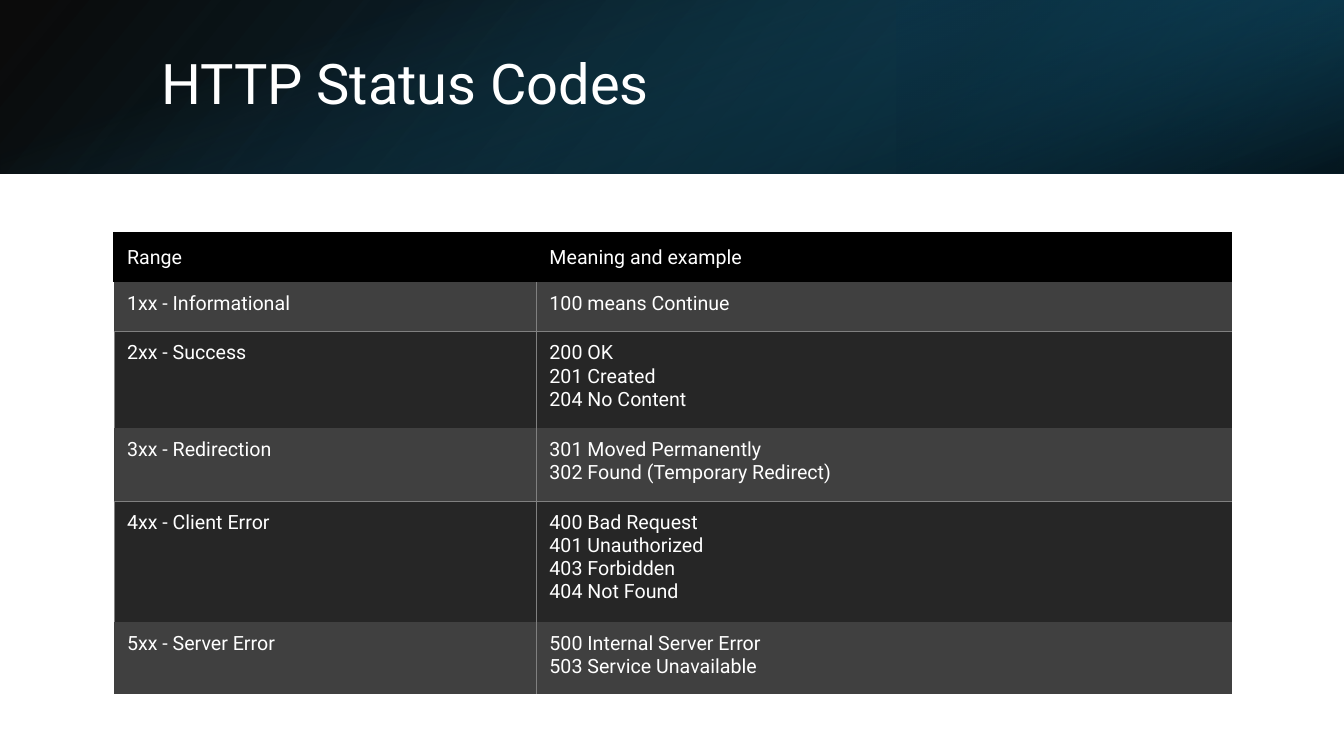
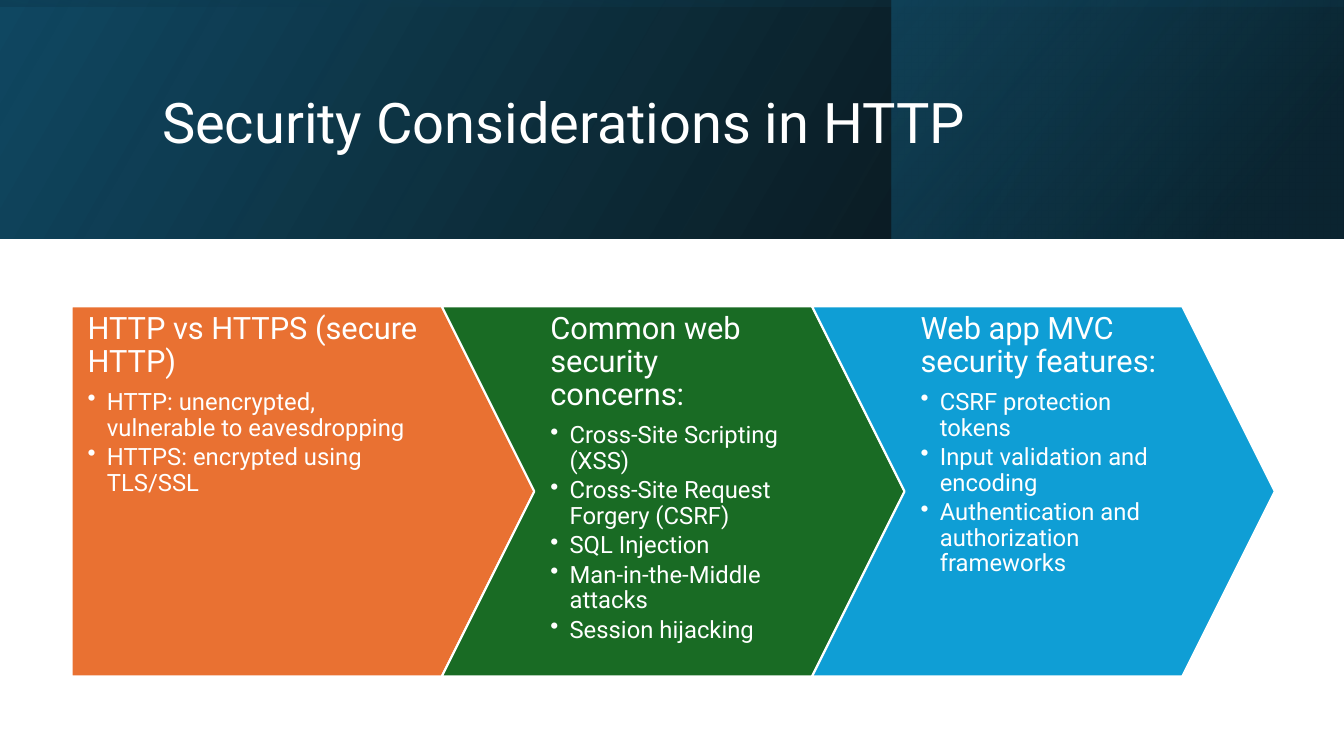
from lxml import etree
from pptx import Presentation
from pptx.dml.color import RGBColor
from pptx.enum.shapes import MSO_SHAPE
from pptx.enum.text import MSO_ANCHOR, PP_ALIGN
from pptx.oxml.ns import qn
from pptx.util import Inches, Pt

RECTANGLE = MSO_SHAPE.RECTANGLE
PENTAGON = MSO_SHAPE.PENTAGON
CHEVRON = MSO_SHAPE.CHEVRON
TOP, MIDDLE = MSO_ANCHOR.TOP, MSO_ANCHOR.MIDDLE
LEFT = PP_ALIGN.LEFT

FONT = "Roboto"
SLIDE_W, SLIDE_H = 13.33, 7.5
COLORS = {
    "white": "FFFFFF", "black": "000000", "navy": "104862",
    "deep": "0B3041", "teal": "156082", "rule": "808080",
    "row_light": "404040", "row_dark": "262626",
    "orange": "E97132", "green": "196B24", "blue": "0F9ED5",
}

STATUS_HEADER = ("Range", ["Meaning and example"])
STATUS_ROWS = [
    ("1xx - Informational", ["100 means Continue"]),
    ("2xx - Success", ["200 OK", "201 Created", "204 No Content"]),
    ("3xx - Redirection",
     ["301 Moved Permanently", "302 Found (Temporary Redirect)"]),
    ("4xx - Client Error",
     ["400 Bad Request", "401 Unauthorized", "403 Forbidden", "404 Not Found"]),
    ("5xx - Server Error",
     ["500 Internal Server Error", "503 Service Unavailable"]),
]
STATUS_HEIGHTS = [0.49, 0.49, 0.96, 0.72, 1.2, 0.72]
STATUS_WIDTHS = [4.19, 6.9]

SECURITY_TOPICS = [
    ("HTTP vs HTTPS (secure HTTP)", "orange",
     ["HTTP: unencrypted, vulnerable to eavesdropping",
      "HTTPS: encrypted using TLS/SSL"]),
    ("Common web security concerns:", "green",
     ["Cross-Site Scripting (XSS)", "Cross-Site Request Forgery (CSRF)",
      "SQL Injection", "Man-in-the-Middle attacks", "Session hijacking"]),
    ("Web app MVC security features:", "blue",
     ["CSRF protection tokens", "Input validation and encoding",
      "Authentication and authorization frameworks"]),
]


def rgb(name):
    return RGBColor.from_string(COLORS[name])


def add_run(paragraph, text, size):
    run = paragraph.add_run()
    run.text = text
    run.font.name = FONT
    run.font.size = Pt(size)
    run.font.bold = False
    run.font.color.rgb = rgb("white")


def next_paragraph(frame, index):
    paragraph = frame.add_paragraph() if index else frame.paragraphs[0]
    paragraph.alignment = LEFT
    return paragraph


def set_insets(target, left, top, right, bottom):
    target.margin_left, target.margin_top = Inches(left), Inches(top)
    target.margin_right, target.margin_bottom = Inches(right), Inches(bottom)


def add_gradient(slide, box, stops, angle, rotation=0, flip=True):
    layer = slide.shapes.add_shape(RECTANGLE, *map(Inches, box))
    layer.shadow.inherit = False
    layer.line.fill.background()
    layer.rotation = rotation
    layer.fill.gradient()
    layer.fill.gradient_angle = 360 - angle
    for stop, (position, color, _) in zip(layer.fill.gradient_stops, stops):
        stop.position = position / 100
        stop.color.rgb = rgb(color)
    properties = layer.element.spPr
    for color_node, (_, _, opacity) in zip(properties.iter(qn("a:srgbClr")), stops):
        etree.SubElement(color_node, qn("a:alpha"), val=str(opacity * 1000))
    if flip:
        properties.find(qn("a:xfrm")).set("flipH", "1")


def add_header(slide, height, base_angle, corner, shade):
    add_gradient(slide, (0, 0, SLIDE_W, height),
                 [(0, "black", 96), (100, "navy", 100)], base_angle)
    add_gradient(slide, (corner["left"], 0, corner["width"], height),
                 [(19, "deep", 68), (100, "teal", corner["opacity"])],
                 320, corner["rotation"])
    offset = (SLIDE_W - height) / 2
    add_gradient(slide, (offset, -offset, height, SLIDE_W), shade["stops"],
                 shade["angle"], shade["rotation"], shade["flip"])


def add_title(slide, box, text):
    frame = slide.shapes.add_textbox(*map(Inches, box)).text_frame
    frame.word_wrap = True
    frame.vertical_anchor = MIDDLE
    paragraph = next_paragraph(frame, 0)
    paragraph.line_spacing = 0.9
    add_run(paragraph, text, 40)


def set_borders(cell, borders):
    properties = cell._tc.get_or_add_tcPr()
    for index, side in enumerate("LRTB"):
        color, width = borders.get(side, (None, 0))
        line = etree.Element(qn(f"a:ln{side}"), w=str(Pt(width)))
        if color:
            fill = etree.SubElement(line, qn("a:solidFill"))
            etree.SubElement(fill, qn("a:srgbClr"), val=COLORS[color])
        else:
            etree.SubElement(line, qn("a:noFill"))
        properties.insert(index, line)


def status_borders(row, column):
    if row == 0:
        edge = ("black", 1.5)
        return {"T": edge, "L": edge} if column == 0 else {"T": edge}
    thin = ("rule", 0.5)
    sides = "R" if column == 0 else "L"
    if row % 2 == 0:
        sides += "TL" if column == 0 else "T"
    elif row < len(STATUS_ROWS):
        sides += "B"
    return {side: thin for side in sides}


def fill_status_cell(cell, lines, row, column):
    set_insets(cell, 0.13, 0.1, 0.1, 0.1)
    cell.vertical_anchor = TOP if row else MIDDLE
    cell.fill.solid()
    band = "row_light" if row % 2 else "row_dark"
    cell.fill.fore_color.rgb = rgb(band if row else "black")
    for index, line in enumerate(lines):
        add_run(next_paragraph(cell.text_frame, index), line, 14)
    set_borders(cell, status_borders(row, column))


def add_status_table(slide, left, top):
    rows = [STATUS_HEADER] + STATUS_ROWS
    table = slide.shapes.add_table(
        len(rows), len(STATUS_WIDTHS), Inches(left), Inches(top),
        Inches(sum(STATUS_WIDTHS)), Inches(sum(STATUS_HEIGHTS))).table
    table.first_row = table.horz_banding = False
    for column, width in zip(table.columns, STATUS_WIDTHS):
        column.width = Inches(width)
    for row, (code_range, meanings) in enumerate(rows):
        table.rows[row].height = Inches(STATUS_HEIGHTS[row])
        for column, lines in enumerate(([code_range], meanings)):
            fill_status_cell(table.cell(row, column), lines, row, column)


def add_bullet(paragraph):
    properties = paragraph._p.get_or_add_pPr()
    properties.set("marL", str(Inches(0.19)))
    properties.set("indent", str(-Inches(0.19)))
    etree.SubElement(properties, qn("a:buChar"), char="•")


def add_topic(slide, box, outline, right_inset, topic):
    heading, color, points = topic
    arrow = slide.shapes.add_shape(outline, *map(Inches, box))
    arrow.adjustments[0] = 0.25
    arrow.shadow.inherit = False
    arrow.fill.solid()
    arrow.fill.fore_color.rgb = rgb(color)
    arrow.line.color.rgb = rgb("white")
    arrow.line.width = Pt(1.5)
    frame = arrow.text_frame
    frame.word_wrap = True
    frame.vertical_anchor = TOP
    set_insets(frame, 0.16, 0.06, right_inset, 0.06)
    for index, text in enumerate([heading] + points):
        paragraph = next_paragraph(frame, index)
        paragraph.line_spacing = 0.9
        paragraph.space_after = Pt(2.6 if index else 7.7)
        if index:
            add_bullet(paragraph)
        add_run(paragraph, text, 17 if index else 22)


def add_topic_chain(slide, left, top, width, height):
    for index, topic in enumerate(SECURITY_TOPICS):
        box = (left + index * 0.8 * width, top, width, height)
        outline, right_inset = (CHEVRON, 0.16) if index else (PENTAGON, 0.65)
        add_topic(slide, box, outline, right_inset, topic)


def build_status_slide(slide):
    add_header(
        slide, 1.72, 140,
        {"left": 8.89, "width": 4.44, "opacity": 79, "rotation": 180},
        {"stops": [(23, "teal", 0), (99, "black", 74)],
         "angle": 340, "rotation": 90, "flip": False})
    add_title(slide, (1.5, 0.38, 10.98, 0.96), "HTTP Status Codes")
    add_status_table(slide, 1.13, 2.31)


def build_security_slide(slide):
    add_header(
        slide, 2.37, 330,
        {"left": 8.84, "width": 4.48, "opacity": 48, "rotation": 0},
        {"stops": [(23, "navy", 16), (99, "black", 45)],
         "angle": 350, "rotation": 270, "flip": True})
    add_title(slide, (1.51, 0.38, 10.63, 1.72), "Security Considerations in HTTP")
    add_topic_chain(slide, 0.71, 3.04, 4.59, 3.67)


def main():
    deck = Presentation()
    deck.slide_width, deck.slide_height = Inches(SLIDE_W), Inches(SLIDE_H)
    for build in (build_status_slide, build_security_slide):
        build(deck.slides.add_slide(deck.slide_layouts[6]))
    deck.save("out.pptx")


if __name__ == "__main__":
    main()
